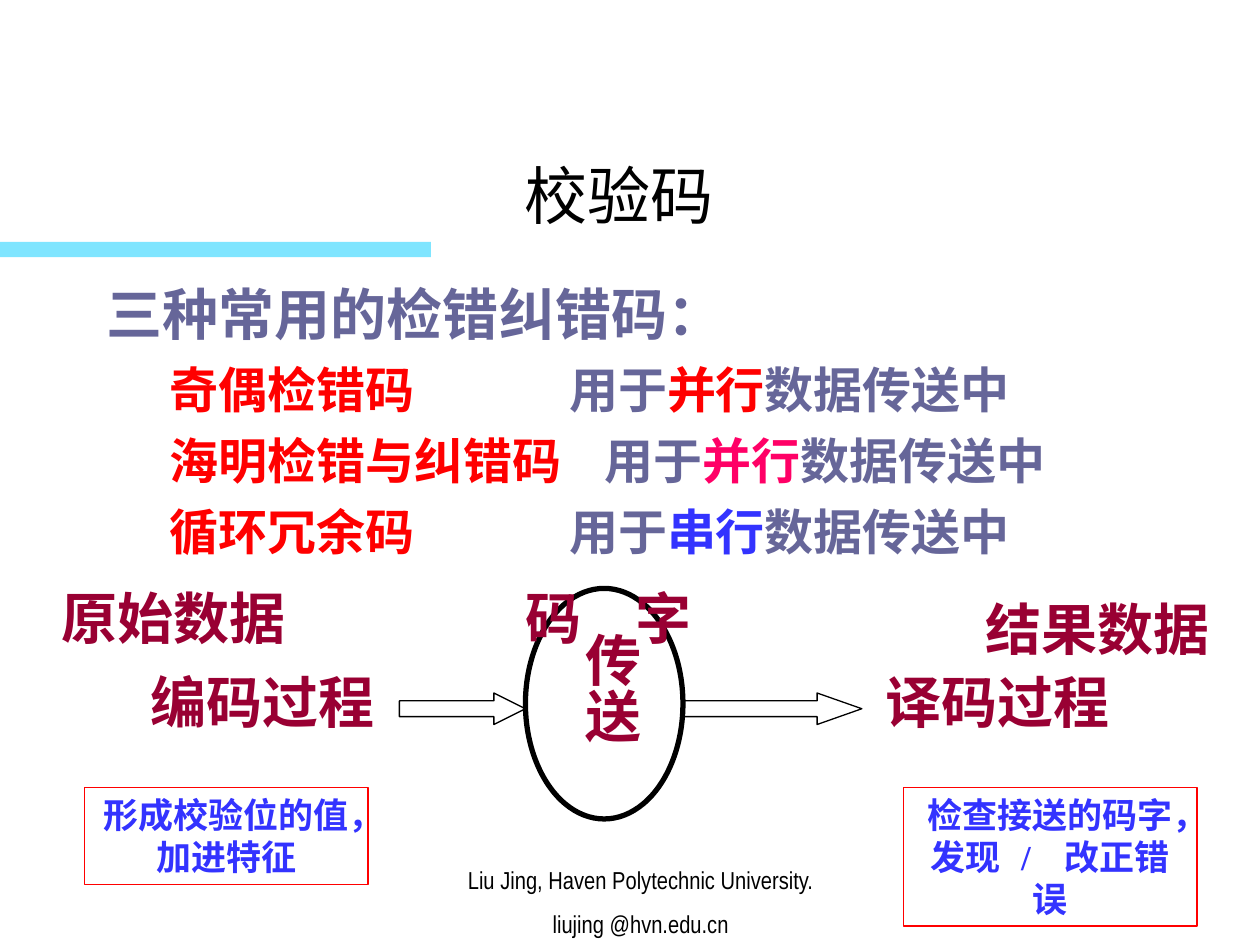
from lxml import etree
from pptx import Presentation
from pptx.dml.color import RGBColor
from pptx.enum.shapes import MSO_SHAPE as Shape
from pptx.enum.text import MSO_ANCHOR as Anchor, PP_ALIGN as Align
from pptx.oxml.ns import qn
from pptx.util import Inches, Pt

COLORS = {
    "black": "000000",
    "bar": "00CCFF",
    "slate": "666699",
    "red": "FF0000",
    "pink": "FF0066",
    "blue": "3333FF",
    "wine": "990033",
}


def rgb(name):
    return RGBColor.from_string(COLORS[name])


def add_paragraph(paragraph, runs, size=32, font="Times New Roman", color="wine",
                  bold=True, align=Align.CENTER, before=0, indent=0):
    """Runs are plain text or (text, color, letter spacing in points)."""
    paragraph.alignment = align
    paragraph.space_before = Pt(before)
    if indent:
        paragraph._p.get_or_add_pPr().set("marL", str(Inches(indent)))
    for text, run_color, spacing in [(runs, color, 0)] if isinstance(runs, str) else runs:
        run = paragraph.add_run()
        run.text = text
        run.font.size = Pt(size)
        run.font.name = font
        run.font.bold = bold
        run.font.color.rgb = rgb(run_color)
        if spacing:
            run.font._element.set("spc", str(int(spacing * 100)))


def set_text(shape, paragraphs, anchor=Anchor.TOP, vertical=False, **text_format):
    """Each paragraph is (runs, its own format)."""
    frame = shape.text_frame
    frame.word_wrap = True
    frame.vertical_anchor = anchor
    if vertical:
        frame.margin_left = frame.margin_right = Inches(0.05)
        frame.margin_top = frame.margin_bottom = Inches(0.1)
        frame._txBody.bodyPr.set("vert", "eaVert")
    for index, (runs, own_format) in enumerate(paragraphs):
        paragraph = frame.add_paragraph() if index else frame.paragraphs[0]
        add_paragraph(paragraph, runs, **{**text_format, **own_format})


def add_text(slide, box, paragraphs, **text_format):
    shape = slide.shapes.add_textbox(*map(Inches, box))
    set_text(shape, paragraphs, **text_format)


def add_outline(slide, kind, box, line="black", width=0.75):
    shape = slide.shapes.add_shape(kind, *map(Inches, box))
    shape.shadow.inherit = False
    shape.fill.background()
    shape.line.color.rgb = rgb(line)
    shape.line.width = Pt(width)
    return shape


def add_bar(slide):
    bar = slide.shapes.add_shape(Shape.RECTANGLE, *map(Inches, (0, 1.92, 3.42, 0.12)))
    bar.shadow.inherit = False
    bar.line.fill.background()
    bar.fill.solid()
    bar.fill.fore_color.rgb = rgb("bar")
    color = bar._element.spPr.find(f"{qn('a:solidFill')}/{qn('a:srgbClr')}")
    etree.SubElement(color, qn("a:alpha")).set("val", "50000")


def add_code_list(slide):
    # Name, gap to its use, stressed word and its color
    codes = [
        ("奇偶检错码", 82, "并行", "red"),
        ("海明检错与纠错码", 18.5, "并行", "pink"),
        ("循环冗余码", 82, "串行", "blue"),
    ]
    paragraphs = [("三种常用的检错纠错码：", {"before": 8})]
    for name, gap, mode, mode_color in codes:
        runs = [(name, "red", 0), (" ", "slate", gap), ("用于", "slate", 0),
                (mode, mode_color, 0), ("数据传送中", "slate", 0)]
        paragraphs.append((runs, {"size": 28, "before": 7, "indent": 0.5}))
    add_text(slide, (0.75, 2.17, 8.5, 4.5), paragraphs, color="slate", align=Align.LEFT)


def add_flow(slide):
    # Channel and arrows
    add_outline(slide, Shape.OVAL, (4.17, 4.67, 1.25, 1.83), width=3)
    for left, width, head in [(3.17, 1, 1), (5.42, 1.42, 1.42)]:
        arrow = add_outline(slide, Shape.RIGHT_ARROW, (left, 5.5, width, 0.25))
        arrow.adjustments[0] = 0.5
        arrow.adjustments[1] = head
    add_text(slide, (4.44, 4.92, 0.73, 1.25), [("传送", {})], vertical=True, before=20)

    # Stages and data
    code_word = [("码", "wine", 0), (" ", "wine", 24), ("字", "wine", 0)]
    labels = [
        ("编码过程", 1, 5.25, 2.17),
        ("译码过程", 6.75, 5.25, 2.33),
        ("原始数据", 0.25, 4.58, 2.25),
        (code_word, 3.83, 4.58, 2),
        ("结果数据", 7.67, 4.67, 2.08),
    ]
    for runs, left, top, width in labels:
        add_text(slide, (left, top, width, 0.64), [(runs, {})], before=20)

    # Notes under the stages
    check = [("检查接送的码字，发现", "blue", 0), (" / ", "blue", 7), ("改正错误", "blue", 0)]
    notes = [
        ("形成校验位的值，加进特征", (0.67, 6.25, 2.25, 0.77)),
        (check, (7.17, 6.25, 2.33, 1.1)),
    ]
    for runs, box in notes:
        note = add_outline(slide, Shape.RECTANGLE, box, line="red")
        set_text(note, [(runs, {})], size=20, color="blue", before=12.5)


def main():
    presentation = Presentation()
    presentation.slide_width = Inches(10)
    presentation.slide_height = Inches(7.5)
    slide = presentation.slides.add_slide(presentation.slide_layouts[6])

    add_bar(slide)
    # Footer
    add_text(slide, (3, 6.75, 4.17, 0.75),
             [("Liu Jing, Haven Polytechnic University.", {}), ("liujing @hvn.edu.cn", {})],
             anchor=Anchor.BOTTOM, size=14, font="Arial Narrow", color="black",
             bold=False, before=8.8)
    # Title
    add_text(slide, (0.75, 1.17, 8.33, 0.75), [("校验码", {})],
             anchor=Anchor.MIDDLE, size=36, color="black", bold=False)
    add_code_list(slide)
    add_flow(slide)
    presentation.save("out.pptx")


if __name__ == "__main__":
    main()
